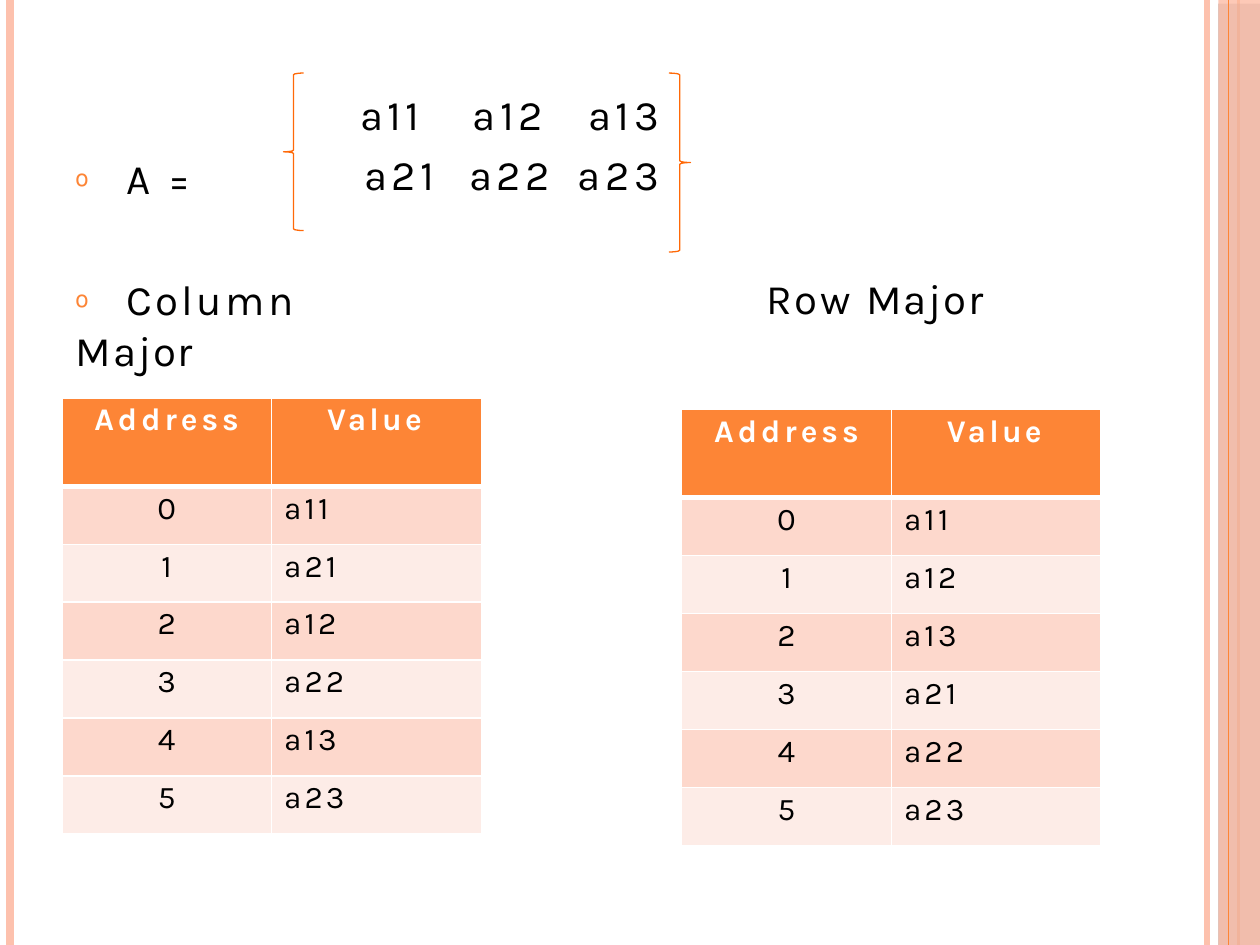
from lxml.etree import SubElement
from pptx import Presentation
from pptx.dml.color import RGBColor
from pptx.enum.shapes import MSO_CONNECTOR, MSO_SHAPE
from pptx.enum.text import PP_ALIGN
from pptx.oxml import parse_xml
from pptx.oxml.ns import qn
from pptx.util import Inches, Pt

COLORS = {
    "orange": "FD8536", "peach": "FDC1AD", "brace": "FF6908",
    "dark band": "FDD8CC", "light band": "FDECE7",
    "black": "000000", "white": "FFFFFF",
}
NAMESPACE = 'xmlns:a="http://schemas.openxmlformats.org/drawingml/2006/main"'
RGB = {name: RGBColor.from_string(value) for name, value in COLORS.items()}


def write(para, spans, size=24, color="black", bold=False, indent=0,
          before=0, align=PP_ALIGN.LEFT):
    """Fill a paragraph with (text, letter spacing in points) spans."""
    para.alignment = align
    para.space_before = Pt(before)
    para._p.get_or_add_pPr().set("marL", str(Inches(indent)))
    for text, spacing in spans:
        span = para.add_run()
        span.text = text
        span.font.name = "Karla"
        span.font.size = Pt(size)
        span.font.bold = bold
        span.font.color.rgb = RGB[color]
        span._r.get_or_add_rPr().set("spc", str(round(spacing * 100)))


def add_plain_table(rows, left, top, widths, heights):
    """Add a table without style bands, side margins or cell fills."""
    frame = page.shapes.add_table(rows, len(widths), Inches(left), Inches(top),
                                  Inches(sum(widths)), Inches(sum(heights)))
    table = frame.table
    table.first_row = table.horz_banding = False
    for column, width in zip(table.columns, widths):
        column.width = Inches(width)
    for row, height in zip(table.rows, heights):
        row.height = Inches(height)
    for cell in table.iter_cells():
        cell.margin_left = cell.margin_right = cell.margin_bottom = 0
        cell.margin_top = Inches(0.03)
        cell.fill.background()
    return table


deck = Presentation()
deck.slide_width, deck.slide_height = Inches(10), Inches(7.5)
page = deck.slides.add_slide(deck.slide_layouts[6])

# Side stripes: vertical lines below and above the translucent band
stripes = [(9.58, "peach", 3), (0.08, "peach", 4.5), (9.83, "orange", 1.5)]
bands = [(0.03, "black", 35), (0, "peach", 87)]
for x, color, weight in stripes + [(9.75, "orange", 0.75)]:
    if x == 9.75:
        for top, band_color, opacity in bands:
            band = page.shapes.add_shape(MSO_SHAPE.RECTANGLE, Inches(9.67), Inches(top),
                                         Inches(0.33), Inches(7.5 - top))
            band.shadow.inherit = False
            band.fill.solid()
            band.fill.fore_color.rgb = RGB[band_color]
            band.line.fill.background()
            fill_color = band._element.spPr.find(qn("a:solidFill"))[0]
            SubElement(fill_color, qn("a:alpha")).set("val", str(opacity * 1000))
    stripe = page.shapes.add_connector(MSO_CONNECTOR.STRAIGHT, Inches(x), 0,
                                       Inches(x), Inches(7.5))
    stripe.line.color.rgb = RGB[color]
    stripe.line.width = Pt(weight)
    SubElement(stripe._element.spPr, qn("a:effectLst"))

# Matrix elements
matrix = add_plain_table(2, 2.83, 0.74, [0.78, 0.84, 0.78], [0.44, 0.44])
matrix_indents = [[0.03, 0, 0], [0.06, 0.03, 0]]
matrix_aligns = [PP_ALIGN.LEFT, PP_ALIGN.CENTER, PP_ALIGN.RIGHT]
for r, (margin, leading, before) in enumerate([(0, 27.1, 0), (0.02, 28.6, 1.8)]):
    for c, align in enumerate(matrix_aligns):
        cell = matrix.cell(r, c)
        cell.margin_top = Inches(margin)
        para = cell.text_frame.paragraphs[0]
        para.line_spacing = Pt(leading)
        write(para, [(f"a{r + 1}{c + 1}", 2.5)], indent=matrix_indents[r][c],
              before=before, align=align)

# Labels
labels = [
    (0.56, 1.19, 1, 0.04, True, [("A ", 2.2), ("=", 7.5)]),
    (0.56, 2.15, 2.69, 0.04, True, [("Column ", 1.9), ("Major", 1.1)]),
    (6.07, 2.15, 1.75, 0.01, False, [("Row ", 1.6), ("Major", 1.1)]),
]
for left, top, width, indent, bulleted, spans in labels:
    box = page.shapes.add_textbox(Inches(left), Inches(top), Inches(width), Inches(0.43))
    frame = box.text_frame
    frame.word_wrap = True
    frame.margin_left = frame.margin_right = frame.margin_bottom = 0
    frame.margin_top = Inches(0.01)
    para = frame.paragraphs[0]
    if bulleted:
        spans = [("𝗈 ", 9.2)] + spans
    write(para, spans, indent=indent, before=1)
    if bulleted:
        bullet = para.runs[0]
        bullet.font.name = "Cambria"
        bullet.font.size = Pt(24.8)
        bullet.font.color.rgb = RGB["orange"]
        bullet._r.get_or_add_rPr().set("baseline", "19000")

# Memory layouts
layouts = [
    (0.49, 3.16, ["a11", "a21", "a12", "a22", "a13", "a23"]),
    (5.41, 3.25, ["a11", "a12", "a13", "a21", "a22", "a23"]),
]
for left, top, values in layouts:
    memory = add_plain_table(7, left, top, [1.665, 1.665], [0.7] + [0.46] * 6)
    rows = [("Address", "Value")] + [(str(i), value) for i, value in enumerate(values)]
    for r, (address, value) in enumerate(rows):
        header = r == 0
        style = dict(size=18, bold=header, before=2.3,
                     color="white" if header else "black")
        write(memory.cell(r, 0).text_frame.paragraphs[0],
              [(address, 2.3 if header else 0)], align=PP_ALIGN.CENTER, **style)
        write(memory.cell(r, 1).text_frame.paragraphs[0],
              [(value, 1.8)], indent=0.44 if header else 0.1, **style)
        fill = "orange" if header else ("dark band" if r % 2 else "light band")
        weights = {"L": 1, "R": 1, "T": 3 if r == 1 else 1, "B": 3 if header else 1}
        for c in range(2):
            cell = memory.cell(r, c)
            cell.fill.solid()
            cell.fill.fore_color.rgb = RGB[fill]
            for position, (side, weight) in enumerate(weights.items()):
                cell._tc.get_or_add_tcPr().insert(position, parse_xml(
                    f'<a:ln{side} {NAMESPACE} w="{Pt(weight)}"><a:solidFill>'
                    f'<a:srgbClr val="{COLORS["white"]}"/></a:solidFill></a:ln{side}>'))

# Matrix braces
for kind, left, width, height in [(MSO_SHAPE.RIGHT_BRACE, 5.31, 0.17, 1.42),
                                  (MSO_SHAPE.LEFT_BRACE, 2.25, 0.16, 1.25)]:
    brace = page.shapes.add_shape(kind, Inches(left), Inches(0.58),
                                  Inches(width), Inches(height))
    brace.shadow.inherit = False
    brace.fill.background()
    brace.line.color.rgb = RGB["brace"]
    brace.line.width = Pt(0.75)

deck.save("out.pptx")
